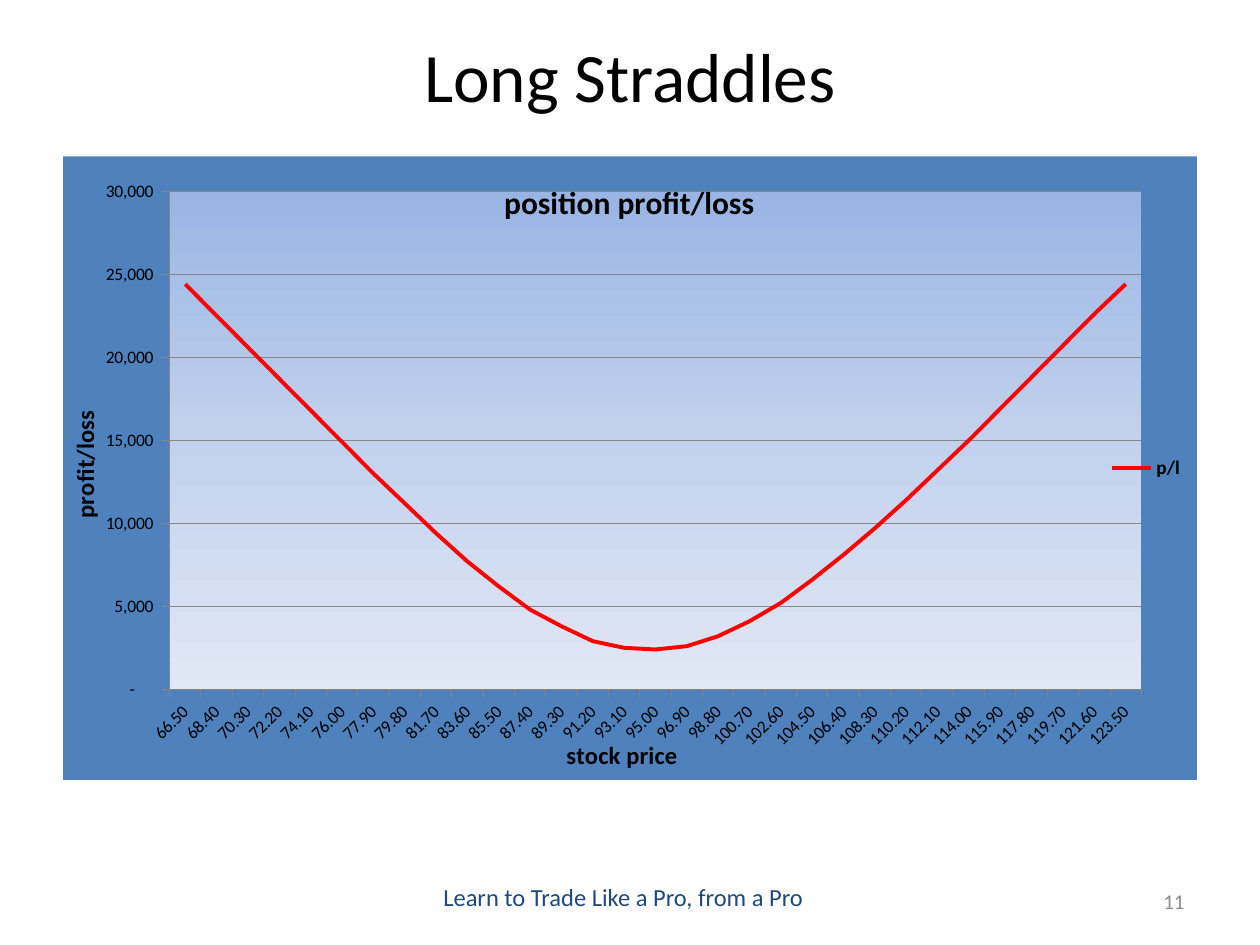
from pptx import Presentation
from pptx.chart.data import CategoryChartData
from pptx.dml.color import RGBColor
from pptx.enum.chart import XL_CHART_TYPE, XL_LEGEND_POSITION, XL_TICK_MARK
from pptx.enum.text import MSO_ANCHOR, PP_ALIGN
from pptx.oxml import parse_xml
from pptx.oxml.ns import nsdecls, qn
from pptx.util import Pt

PX = 9144  # 100 px to the inch
FONT = "Calibri"
BLACK = RGBColor(0x00, 0x00, 0x00)
NAVY = RGBColor(0x1F, 0x49, 0x7D)
GREY = RGBColor(0x8C, 0x8C, 0x8C)
RULE = RGBColor(0x86, 0x86, 0x86)
BLUE = RGBColor(0x4F, 0x81, 0xBD)
RED = RGBColor(0xFF, 0x00, 0x00)
FADE = [(0, RGBColor(0x9A, 0xB5, 0xE4)), (50, RGBColor(0xC2, 0xD1, 0xED)),
        (100, RGBColor(0xE1, 0xE8, 0xF5))]
LEFT, MID, RIGHT = PP_ALIGN.LEFT, PP_ALIGN.CENTER, PP_ALIGN.RIGHT
TOP, CENTER = MSO_ANCHOR.TOP, MSO_ANCHOR.MIDDLE
LINE = XL_CHART_TYPE.LINE
SIDE = XL_LEGEND_POSITION.RIGHT
OUT = XL_TICK_MARK.OUTSIDE
MONEY = '_(* #,##0_);_(* \\(#,##0\\);_(* "-"??_);_(@_)'

PRICES = [f"{66.5 + 1.9 * i:.2f}" for i in range(31)]
PROFITS = [24400, 22500, 20600, 18700, 16800, 14900, 13000, 11200, 9400, 7700,
           6200, 4800, 3800, 2900, 2500, 2400, 2600, 3200, 4100, 5200, 6600,
           8100, 9700, 11400, 13200, 15000, 16900, 18800, 20700, 22600, 24400]


def style(font, size, color=BLACK, bold=False):
    font.name, font.size, font.bold = FONT, Pt(size), bold
    font.color.rgb = color


def write(frame, text, size, color=BLACK, bold=False, align=LEFT, anchor=None):
    frame.text = text
    if anchor is not None:
        frame.word_wrap = True
        frame.vertical_anchor = anchor
    para = frame.paragraphs[0]
    para.alignment = align
    style(para.runs[0].font, size, color, bold)


def add_label(slide, box, text, **form):
    shape = slide.shapes.add_textbox(*(n * PX for n in box))
    write(shape.text_frame, text, **form)


def add_title(slide, box, text):
    title = slide.shapes.title
    title.left, title.top, title.width, title.height = (n * PX for n in box)
    write(title.text_frame, text, size=39.6, align=MID, anchor=CENTER)


def place(node, x, y, w=None, h=None, inner=False):
    """Set a chart part's layout as fractions of the chart."""
    for old in node.findall(qn("c:layout")):
        node.remove(old)
    rows = [("layoutTarget", "inner")] if inner else []
    rows += [("xMode", "edge"), ("yMode", "edge"), ("x", x), ("y", y)]
    if w is not None:
        rows += [("w", w), ("h", h)]
    body = "".join(f'<c:{tag} val="{val}"/>' for tag, val in rows)
    layout = parse_xml(f'<c:layout {nsdecls("c")}><c:manualLayout>{body}'
                       '</c:manualLayout></c:layout>')
    # The layout leads the plot area, and comes second elsewhere
    node.insert(0 if inner else 1, layout)


def add_caption(owner, text, size, x, y):
    owner.has_title = True
    part = owner.chart_title if hasattr(owner, "chart_title") else owner.axis_title
    write(part.text_frame, text, size=size, bold=True, align=MID)
    node = part.text_frame._txBody.getparent().getparent()
    place(node, x, y)
    return node


def paint(fill):
    return parse_xml(f'<c:spPr {nsdecls("c", "a")}>{fill}'
                     '<a:ln><a:noFill/></a:ln></c:spPr>')


def draw(line, color, width):
    line.color.rgb = color
    line.width = Pt(width)


def add_graph(slide, box):
    data = CategoryChartData()
    data.categories = PRICES
    data.add_series("p/l", PROFITS)
    frame = slide.shapes.add_chart(LINE, *(n * PX for n in box), data)
    chart = frame.chart
    style(chart.font, 10)

    # Chart and plot backgrounds
    space = chart._chartSpace
    root = space.find(qn("c:chart"))
    root.addnext(paint(f'<a:solidFill><a:srgbClr val="{BLUE}"/></a:solidFill>'))
    area = root.find(qn("c:plotArea"))
    place(area, 0.094, 0.056, 0.857, 0.799, inner=True)
    stops = "".join(f'<a:gs pos="{pos * 1000}"><a:srgbClr val="{color}"/></a:gs>'
                    for pos, color in FADE)
    area.append(paint(f'<a:gradFill><a:gsLst>{stops}</a:gsLst>'
                      '<a:lin ang="5400000" scaled="0"/></a:gradFill>'))

    # Axes
    price, profit = chart.category_axis, chart.value_axis
    for axis in (price, profit):
        axis.major_tick_mark = OUT
        style(axis.tick_labels.font, 10)
        draw(axis.format.line, RULE, 0.5)
    turn = price._element.find(qn("c:txPr")).find(qn("a:bodyPr"))
    turn.set("rot", "-2700000")
    profit.minimum_scale, profit.maximum_scale = 0, 30000
    profit.major_unit = 5000
    profit.has_major_gridlines = True
    draw(profit.major_gridlines.format.line, RULE, 0.5)
    profit.tick_labels.number_format = MONEY
    profit.tick_labels.number_format_is_linked = False

    # Titles
    head = add_caption(chart, "position profit/loss", 18, 0.384, 0.03)
    head.find(qn("c:overlay")).set("val", "1")
    add_caption(price, "stock price", 14, 0.44, 0.925)
    side = add_caption(profit, "profit/loss", 14, 0, 0.4)
    side.find(".//" + qn("a:bodyPr")).set("rot", "-5400000")

    # Legend
    chart.has_legend = True
    legend = chart.legend
    legend.position = SIDE
    legend.include_in_layout = False
    style(legend.font, 11, bold=True)
    place(legend._element, 0.92, 0.47, 0.07, 0.06)

    # Profit curve
    curve = chart.plots[0].series[0]
    chart.plots[0].vary_by_categories = False
    curve.smooth = False
    draw(curve.format.line, RED, 2.25)


def main():
    deck = Presentation()
    deck.slide_width, deck.slide_height = 1000 * PX, 750 * PX
    slide = deck.slides.add_slide(deck.slide_layouts[5])
    add_label(slide, (342, 695, 434, 34), "Learn to Trade Like a Pro, from a Pro",
              size=14, color=NAVY, anchor=TOP)
    add_title(slide, (50, 30, 900, 59), "Long Straddles")
    add_label(slide, (717, 695, 233, 40), "11", size=12, color=GREY,
              align=RIGHT, anchor=CENTER)
    add_graph(slide, (50, 124, 900, 495))
    deck.save("out.pptx")


if __name__ == "__main__":
    main()
